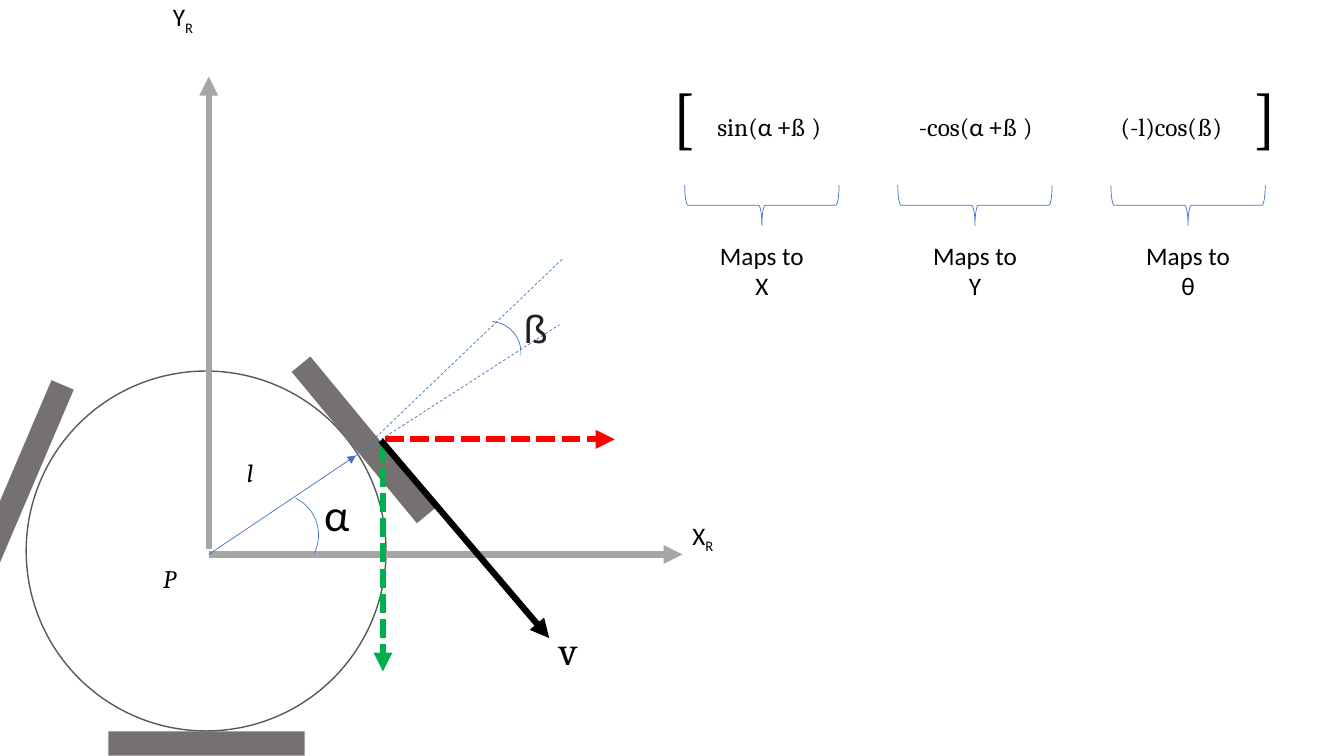
from lxml import etree
from pptx import Presentation, util as u
from pptx.dml.color import RGBColor
from pptx.enum import dml, shapes, text
from pptx.oxml.ns import qn


class Theme:
    sans, serif, plain = "Calibri", "Cambria", "Arial"
    black, ink, white = "000000", "222222", "FFFFFF"
    rim, wheel, axis = "595959", "767171", "A6A6A6"
    red, green, blue = "FF0000", "00B050", "4472C4"
    body, vector, angle, radial, bracket = 18, 28, 28, 32, 48
    thin, edge, thick = 0.5, 1, 4.5


T = Theme
Kind = shapes.MSO_SHAPE
Dash = dml.MSO_LINE

# Content: all lengths in cm
DISK = (0.66, 9.35, 9.07, 9.07)
WHEEL = (0.61, 4.95)
WHEELS = [(8.86, 8.61, 320.4), (4.9, 16.26, 270), (0.3, 9.5, 203.1)]  # left, top, turn
ARCS = [(5.97, 12.45, 2.06, 26.1), (11.56, 8.1, 1.57, 4.5)]  # left, top, size, turn

HUB, RIM = (5.26, 13.97), (8.97, 11.48)
LINES = [  # start, end, colour, width, dash, arrow
    (HUB, (17.2, 13.97), T.axis, T.thick, None, True),
    ((5.26, 13.84), (5.26, 1.93), T.axis, T.thick, None, True),
    ((9.7, 11.07), (15.49, 11.07), T.red, T.thick, Dash.SQUARE_DOT, True),
    ((9.65, 11.15), (9.65, 16.92), T.green, T.thick, Dash.SQUARE_DOT, True),
    ((9.6, 11.1), (13.84, 16.08), T.black, T.thick, None, True),
    (HUB, RIM, T.blue, T.thin, None, True),
    (RIM, (14.1, 8.18), T.blue, T.thin, Dash.DASH, False),
    ((9.47, 11.02), (14.2, 6.5), T.blue, T.thin, Dash.DASH, False),
]

AXES = [("X", (17.2, 12.98, 2.29, 2.01)), ("Y", (4.11, -0.08, 2.29, 2.01))]
LABELS = [  # text, box, font, size, extra format, wrap
    ("P", (3.86, 14.07, 2.57, 2.01), T.serif, T.body, {"italic": True}, True),
    ("l", (5.97, 11.4, 0.91, 1.37), T.serif, T.body, {"italic": True}, False),
    ("α", (7.92, 12.14, 1.17, 1.63), T.sans, T.radial, {}, False),
    ("ß", (12.95, 7.54, 1.12, 1.45), T.plain, T.angle, {"color": T.ink}, False),
    ("v", (13.84, 15.67, 1.02, 1.45), T.serif, T.vector, {}, True),
    ("[", (16.71, 1.75, 1.12, 2.31), T.serif, T.bracket, {}, False),
    ("]", (31.34, 1.75, 1.12, 2.31), T.serif, T.bracket, {}, False),
]
MATRIX = [("sin(", T.serif), ("α +", T.sans), ("ß )\t-cos(", T.serif),
          ("α +", T.sans), ("ß )\t(-l)cos(ß)", T.serif)]
MATRIX_BOX = (17.83, 2.69, 13.51, 1.02)
TABS = [5.08, 10.16]
TARGETS = ["X", "Y", "θ"]
BRACE = (1.02, 3.89)
BRACE_MID, BRACE_TOP, STEP = 19.2, 3.23, 5.37
MAP_TOP, MAP_SIZE = 5.92, (2.64, 1.8)

deck = Presentation()
deck.slide_width, deck.slide_height = u.Cm(33.87), u.Cm(19.05)
slide = deck.slides.add_slide(deck.slide_layouts[6])


def cm(nums):
    return [u.Cm(n) for n in nums]


def shape(kind, box, fill=None, line=None, width=T.thin, turn=0):
    item = slide.shapes.add_shape(kind, *cm(box))
    item.shadow.inherit = False
    item.rotation = turn
    if fill:
        item.fill.solid()
        item.fill.fore_color.rgb = RGBColor.from_string(fill)
    else:
        item.fill.background()
    if line:
        item.line.color.rgb = RGBColor.from_string(line)
        item.line.width = u.Pt(width)
    else:
        item.line.fill.background()


def line(start, end, color, width, dash, arrow):
    item = slide.shapes.add_connector(shapes.MSO_CONNECTOR.STRAIGHT, *cm(start + end))
    item.line.color.rgb = RGBColor.from_string(color)
    item.line.width = u.Pt(width)
    if dash:
        item.line.dash_style = dash
    props = item._element.spPr
    if arrow:
        etree.SubElement(props.find(qn("a:ln")), qn("a:tailEnd"), type="triangle")
    etree.SubElement(props, qn("a:effectLst"))


def label(box, rows, wrap=False, align=text.PP_ALIGN.LEFT, tabs=()):
    """Each row is a list of (words, format) runs."""
    frame = slide.shapes.add_textbox(*cm(box)).text_frame
    frame.word_wrap = wrap
    frame.auto_size = text.MSO_AUTO_SIZE.SHAPE_TO_FIT_TEXT
    for num, row in enumerate(rows):
        para = frame.add_paragraph() if num else frame.paragraphs[0]
        para.alignment = align
        if tabs:
            stops = etree.SubElement(para._p.get_or_add_pPr(), qn("a:tabLst"))
            for pos in tabs:
                etree.SubElement(stops, qn("a:tab"), pos=str(u.Cm(pos)), algn="l")
        for words, style in row:
            run = para.add_run()
            run.text = words
            look = {"name": T.sans, "size": T.body, "color": T.black} | style
            run.font.color.rgb = RGBColor.from_string(look.pop("color"))
            look["size"] = u.Pt(look["size"])
            base = look.pop("base", None)
            for key, value in look.items():
                setattr(run.font, key, value)
            if base:
                run._r.get_or_add_rPr().set("baseline", str(base * 1000))


# Robot body, wheels, axes and vectors
shape(Kind.OVAL, DISK, T.white, T.rim, T.edge)
for left, top, turn in WHEELS:
    shape(Kind.RECTANGLE, (left, top, *WHEEL), T.wheel, turn=turn)
for row in LINES:
    line(*row)
for left, top, size, turn in ARCS:
    shape(Kind.ARC, (left, top, size, size), line=T.blue, turn=turn)

# Labels
for name, box in AXES:
    label(box, [[(name, {}), ("R", {"base": -25})]], wrap=True)
for words, box, font, size, extra, wrap in LABELS:
    label(box, [[(words, {"name": font, "size": size} | extra)]], wrap)

# Constraint row with a brace and a target under each term
label(MATRIX_BOX, [[(words, {"name": font}) for words, font in MATRIX]], tabs=TABS)
for num, target in enumerate(TARGETS):
    mid = BRACE_MID + num * STEP
    shape(Kind.RIGHT_BRACE, (mid - BRACE[0] / 2, BRACE_TOP, *BRACE), line=T.blue, turn=90)
    label((mid - MAP_SIZE[0] / 2, MAP_TOP, *MAP_SIZE),
          [[("Maps to", {})], [(target, {})]], align=text.PP_ALIGN.CENTER)

deck.save("out.pptx")
